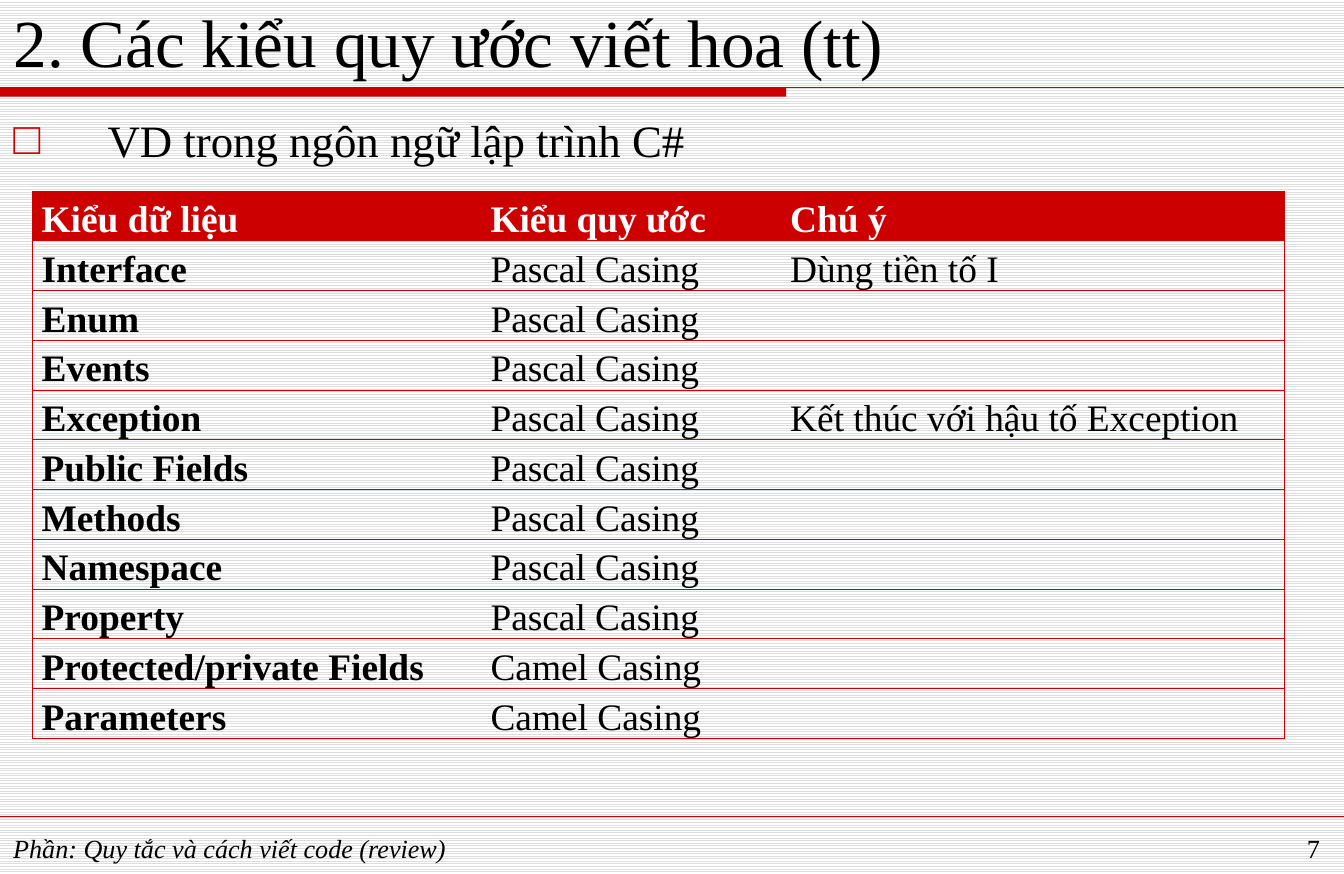
import dataclasses

import lxml.etree
import pptx
import pptx.dml.color
import pptx.enum.dml
import pptx.enum.shapes
import pptx.enum.text
import pptx.oxml.ns
import pptx.util

Inches = pptx.util.Inches
Pt = pptx.util.Pt
qn = pptx.oxml.ns.qn
Align = pptx.enum.text.PP_ALIGN
Anchor = pptx.enum.text.MSO_ANCHOR


@dataclasses.dataclass(frozen=True)
class Theme:
    font: str = "Times New Roman"
    red: str = "CC0000"
    ink: str = "000000"
    paper: str = "FFFFFF"
    stripe: str = "DDDDDD"
    title: int = 36
    body: int = 24
    table: int = 20
    footer: int = 14


THEME = Theme()

HEADINGS = ("Kiểu dữ liệu", "Kiểu quy ước", "Chú ý")
PASCAL, CAMEL = "Pascal Casing", "Camel Casing"
CONVENTIONS = [
    ("Interface", PASCAL, "Dùng tiền tố I"),
    ("Enum", PASCAL, ""),
    ("Events", PASCAL, ""),
    ("Exception", PASCAL, "Kết thúc với hậu tố Exception"),
    ("Public Fields", PASCAL, ""),
    ("Methods", PASCAL, ""),
    ("Namespace", PASCAL, ""),
    ("Property", PASCAL, ""),
    ("Protected/private Fields", CAMEL, ""),
    ("Parameters", CAMEL, ""),
]


def rgb(value):
    return pptx.dml.color.RGBColor.from_string(value)


def place(shape, box):
    shape.left, shape.top, shape.width, shape.height = map(Inches, box)


def write(frame, text, size, color=THEME.ink, bold=False, italic=False, align=Align.LEFT):
    frame.text = text
    para = frame.paragraphs[0]
    para.alignment = align
    for span in para.runs:
        span.font.name = THEME.font
        span.font.size = Pt(size)
        span.font.bold = bold
        span.font.italic = italic
        span.font.color.rgb = rgb(color)
    return para


def add_rule(slide, left, right, y, weight):
    rule = slide.shapes.add_connector(
        pptx.enum.shapes.MSO_CONNECTOR.STRAIGHT,
        Inches(left), Inches(y), Inches(right), Inches(y))
    rule.line.color.rgb = rgb(THEME.red)
    rule.line.width = Pt(weight)
    lxml.etree.SubElement(rule._element.spPr, qn("a:effectLst"))


def add_background(slide):
    fill = slide.background.fill
    fill.patterned()
    fill.pattern = pptx.enum.dml.MSO_PATTERN.LIGHT_HORIZONTAL
    fill.fore_color.rgb = rgb(THEME.stripe)
    fill.back_color.rgb = rgb(THEME.paper)


def add_title(slide, box, text):
    left, top, width, height = box
    bottom = top + height
    bar = slide.shapes.add_shape(
        pptx.enum.shapes.MSO_SHAPE.RECTANGLE,
        Inches(left), Inches(bottom), Inches(5.85), Inches(0.07))
    bar.shadow.inherit = False
    bar.fill.solid()
    bar.fill.fore_color.rgb = rgb(THEME.red)
    bar.line.fill.background()
    add_rule(slide, left, left + width, bottom, 0.75)

    title = slide.shapes.title
    place(title, box)
    frame = title.text_frame
    frame.auto_size = pptx.enum.text.MSO_AUTO_SIZE.NONE
    frame.vertical_anchor = Anchor.BOTTOM
    write(frame, text, THEME.title)


def add_body(slide, box, text):
    body = slide.placeholders[1]
    place(body, box)
    frame = body.text_frame
    frame.auto_size = pptx.enum.text.MSO_AUTO_SIZE.NONE
    para = write(frame, text, THEME.body)
    properties = para._p.get_or_add_pPr()
    properties.set("marL", str(Inches(0.7)))
    properties.set("indent", str(-Inches(0.7)))
    bullet_color = lxml.etree.SubElement(properties, qn("a:buClr"))
    lxml.etree.SubElement(bullet_color, qn("a:srgbClr"), val=THEME.red)
    lxml.etree.SubElement(properties, qn("a:buFont"), typeface=THEME.font)
    lxml.etree.SubElement(properties, qn("a:buChar"), char="□")


def set_borders(cell, sides):
    properties = cell._tc.get_or_add_tcPr()
    for side in "LRTB":
        line = lxml.etree.SubElement(properties, qn(f"a:ln{side}"), w=str(Pt(0.5)))
        if side in sides:
            fill = lxml.etree.SubElement(line, qn("a:solidFill"))
            lxml.etree.SubElement(fill, qn("a:srgbClr"), val=THEME.red)
        else:
            lxml.etree.SubElement(line, qn("a:noFill"))


def add_conventions(slide, box, widths, rows):
    table = slide.shapes.add_table(len(rows), len(widths), *map(Inches, box)).table
    table.first_row = False
    table.horz_banding = False
    for column, width in zip(table.columns, widths):
        column.width = Inches(width)
    for row_index, row in enumerate(rows):
        table.rows[row_index].height = Inches(box[3] / len(rows))
        header = row_index == 0
        for column_index, text in enumerate(row):
            cell = table.cell(row_index, column_index)
            cell.margin_left = cell.margin_right = Inches(0.07)
            cell.margin_top = cell.margin_bottom = 0
            outer = {0: "L", len(widths) - 1: "R"}.get(column_index, "")
            set_borders(cell, "TB" + outer)
            if header:
                cell.fill.solid()
                cell.fill.fore_color.rgb = rgb(THEME.red)
            else:
                cell.fill.background()
            para = write(cell.text_frame, text, THEME.table,
                         THEME.paper if header else THEME.ink,
                         bold=header or column_index == 0)
            para.line_spacing = 1.2
            para.font.size = Pt(THEME.table)


def add_footer(slide, box, text, number):
    left, top, width, height = box
    add_rule(slide, left, left + width, top, 0.25)
    parts = [
        (text, left, 8.17, True, Align.LEFT),
        (number, left + width - 1.08, 1, False, Align.RIGHT),
    ]
    for label, start, span_width, italic, align in parts:
        text_box = slide.shapes.add_textbox(
            Inches(start), Inches(top + 0.07), Inches(span_width), Inches(height - 0.07))
        text_box.text_frame.word_wrap = True
        write(text_box.text_frame, label, THEME.footer, italic=italic, align=align)


def main():
    deck = pptx.Presentation()
    deck.slide_width, deck.slide_height = Inches(10), Inches(6.5)
    slide = deck.slides.add_slide(deck.slide_layouts[1])
    add_background(slide)
    add_title(slide, (0, 0.07, 10, 0.58), "2. Các kiểu quy ước viết hoa (tt)")
    add_body(slide, (0, 0.79, 10, 5.2), "VD trong ngôn ngữ lập trình C#")
    add_conventions(slide, (0.24, 1.42, 9.33, 4.07), (3.34, 2.23, 3.75),
                    [HEADINGS, *CONVENTIONS])
    add_footer(slide, (0, 6.07, 10, 0.38), "Phần: Quy tắc và cách viết code (review)", "7")
    deck.save("out.pptx")


if __name__ == "__main__":
    main()
